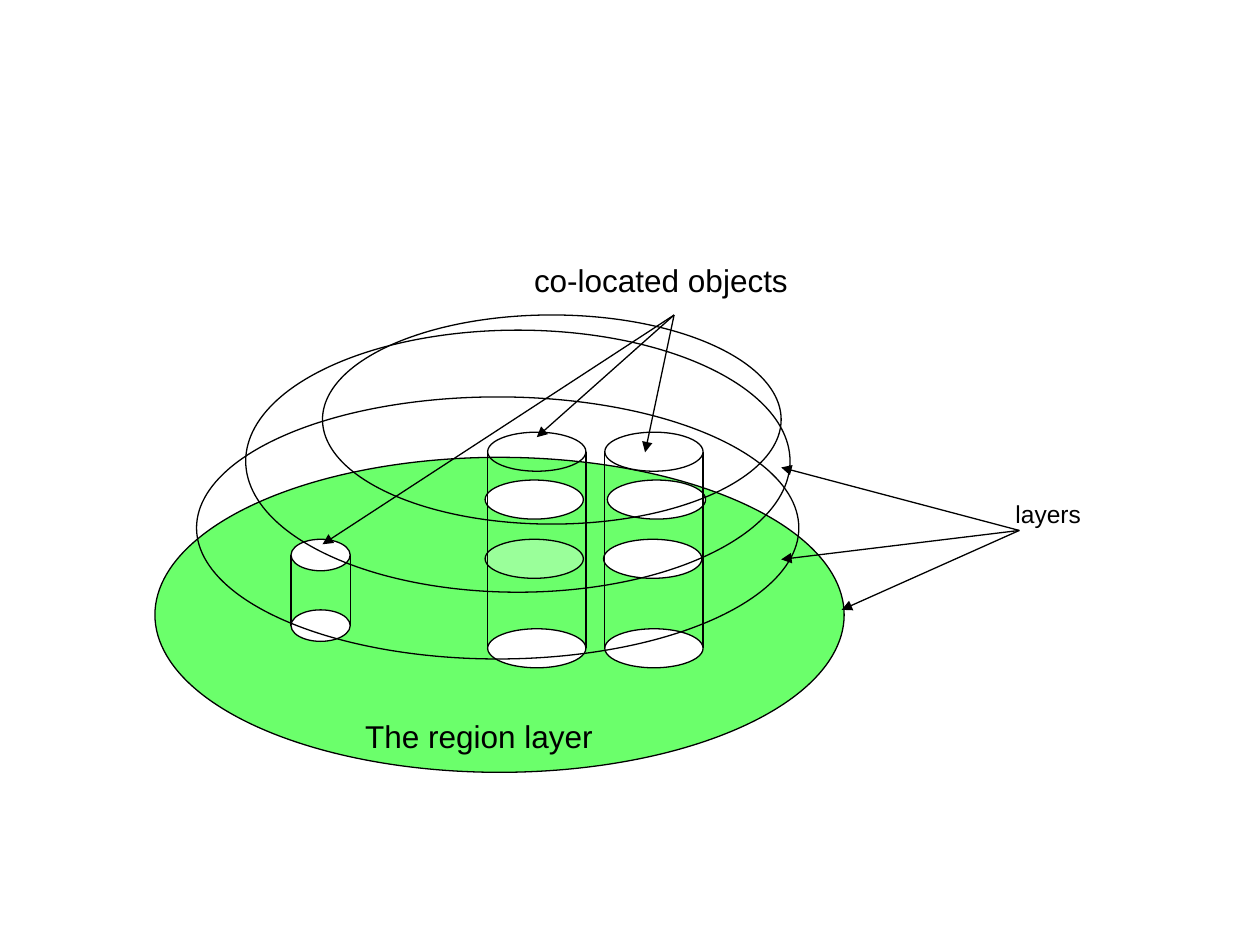
from lxml.etree import SubElement
from pptx import Presentation
from pptx.dml.color import RGBColor
from pptx.enum.shapes import MSO_CONNECTOR, MSO_SHAPE
from pptx.enum.text import MSO_ANCHOR, MSO_AUTO_SIZE, PP_ALIGN
from pptx.oxml.ns import qn
from pptx.util import Inches, Pt

COLORS = {"ink": "000000", "paper": "FFFFFF", "region": "00FF00"}
LINE_WIDTH = Pt(0.75)
CYLINDER_WIDTH, DISC_HEIGHT = 0.78, 0.31


def color(name):
    return RGBColor.from_string(COLORS[name])


def style_outline(item):
    item.line.color.rgb = color("ink")
    item.line.width = LINE_WIDTH


def add_ellipse(page, left, top, width, height, fill=None, opacity=100):
    ellipse = page.shapes.add_shape(
        MSO_SHAPE.OVAL, Inches(left), Inches(top), Inches(width), Inches(height))
    ellipse.shadow.inherit = False
    style_outline(ellipse)
    if fill is None:
        ellipse.fill.background()
        return
    ellipse.fill.solid()
    ellipse.fill.fore_color.rgb = color(fill)
    if opacity < 100:
        swatch = ellipse.fill._xPr.find(qn("a:solidFill"))[0]
        SubElement(swatch, qn("a:alpha"), val=str(opacity * 1000))


def add_line(page, start, end, arrow=False):
    line = page.shapes.add_connector(
        MSO_CONNECTOR.STRAIGHT, *(Inches(value) for value in (*start, *end)))
    style_outline(line)
    if arrow:
        SubElement(line.line._get_or_add_ln(), qn("a:tailEnd"), type="triangle")
    SubElement(line._element.spPr, qn("a:effectLst"))


def add_arrows(page, start, targets):
    for target in targets:
        add_line(page, start, target, arrow=True)


def add_cylinder(page, left, top, base, width, height, top_fill="paper"):
    for x in (left, left + width):
        add_line(page, (x, top + height / 2), (x, base + height / 2))
    add_ellipse(page, left, base, width, height, "paper")
    add_ellipse(page, left, top, width, height, top_fill)


def write_label(box, text, size, margins=(0.1, 0.05)):
    frame = box.text_frame
    frame.text = text
    frame.word_wrap = True
    frame.vertical_anchor = MSO_ANCHOR.TOP
    frame.margin_left = frame.margin_right = Inches(margins[0])
    frame.margin_top = frame.margin_bottom = Inches(margins[1])
    para = frame.paragraphs[0]
    para.alignment = PP_ALIGN.LEFT
    font = para.runs[0].font
    font.name = "Arial"
    font.size = Pt(size)
    font.color.rgb = color("ink")


def add_label(page, text, left, top, width):
    box = page.shapes.add_textbox(
        Inches(left), Inches(top), Inches(width), Inches(0.4))
    write_label(box, text, 18)
    box.text_frame.auto_size = MSO_AUTO_SIZE.SHAPE_TO_FIT_TEXT


def add_panel(page, text, left, top, width, height):
    panel = page.shapes.add_shape(
        MSO_SHAPE.RECTANGLE, Inches(left), Inches(top), Inches(width), Inches(height))
    panel.shadow.inherit = False
    panel.fill.solid()
    panel.fill.fore_color.rgb = color("paper")
    panel.line.fill.background()
    write_label(panel, text, 14, margins=(0.13, 0.06))


def main():
    deck = Presentation()
    deck.slide_width, deck.slide_height = Inches(10), Inches(7.5)
    page = deck.slides.add_slide(deck.slide_layouts[6])

    add_ellipse(page, 1.23, 3.63, 5.47, 2.5, "region", 58)

    for left, top, opacity in ((4.82, 3.81, 100), (3.85, 3.81, 100),
                               (4.79, 4.28, 100), (3.85, 4.28, 32)):
        add_ellipse(page, left, top, CYLINDER_WIDTH, DISC_HEIGHT, "paper", opacity)
    add_cylinder(page, 2.31, 4.28, 4.84, 0.47, 0.25)
    add_cylinder(page, 4.8, 3.43, 4.99, CYLINDER_WIDTH, DISC_HEIGHT)
    add_cylinder(page, 3.87, 3.43, 4.99, CYLINDER_WIDTH, DISC_HEIGHT, top_fill=None)

    add_panel(page, "layers", 7.93, 3.9, 1.56, 1.25)
    add_arrows(page, (8.09, 4.21), ((6.2, 3.71), (6.2, 4.44), (6.68, 4.84)))
    add_arrows(page, (5.35, 2.5), ((4.26, 3.47), (2.56, 4.32), (5.12, 3.59)))

    for layer in ((1.56, 3.15, 4.78, 2.08), (1.95, 2.62, 4.32, 2.08),
                  (2.56, 2.5, 3.64, 1.66)):
        add_ellipse(page, *layer)

    add_label(page, "co-located objects", 4.14, 2.02, 2.3)
    add_label(page, "The region layer", 2.8, 5.64, 2.68)

    deck.save("out.pptx")


if __name__ == "__main__":
    main()
